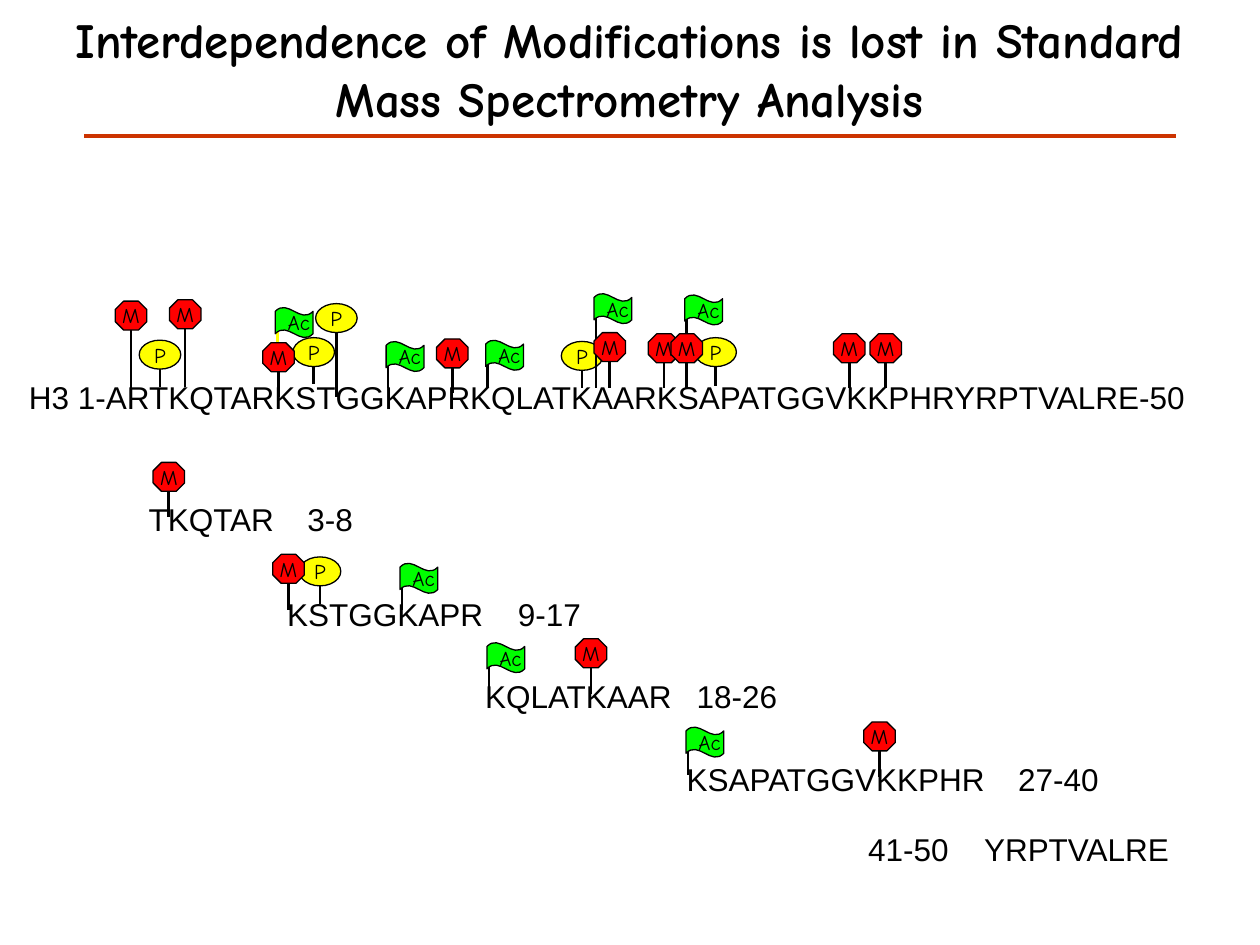
from collections import namedtuple
from dataclasses import dataclass

from lxml import etree
from pptx import Presentation
from pptx.dml.color import RGBColor
from pptx.enum.shapes import MSO_CONNECTOR, MSO_SHAPE
from pptx.enum.text import MSO_ANCHOR, PP_ALIGN
from pptx.oxml.ns import qn
from pptx.util import Inches, Pt

STRAIGHT = MSO_CONNECTOR.STRAIGHT
OCTAGON, ELLIPSE, WAVE = MSO_SHAPE.OCTAGON, MSO_SHAPE.OVAL, MSO_SHAPE.WAVE
LEFT, CENTER = PP_ALIGN.LEFT, PP_ALIGN.CENTER
MIDDLE = MSO_ANCHOR.MIDDLE

COLUMNS, ROWS = 100, 75
CELL = Inches(10) // COLUMNS
TITLE_LAYOUT = 5


@dataclass(frozen=True)
class Theme:
    black: str = "000000"
    red: str = "FF0000"
    yellow: str = "FFFF00"
    green: str = "00FF00"
    rule: str = "CC3300"
    sequence_font: str = "Arial"
    label_font: str = "Comic Neue"
    title_size: float = 28
    sequence_size: float = 18
    mark_size: float = 12
    outline: float = 0.75
    stem: float = 1.5
    rule_width: float = 2.5


THEME = Theme()

# Width, height and stem position of a mark's head are in grid cells.
Head = namedtuple("Head", "shape fill width height stem adjustment align")
HEADS = {
    "P": Head(ELLIPSE, THEME.yellow, 3.3, 2.3, 1.65, None, CENTER),
    "Ac": Head(WAVE, THEME.green, 3, 2.4, 0.15, 0.13, LEFT),
    "M": Head(OCTAGON, THEME.red, 2.5, 2.3, 1.25, 0.29, CENTER),
}

# Each mark: kind, column from the row's left, lift of the head above the
# row's top, depth of the stem's foot below it, and a stem colour if not black.
# Later marks lie in front of earlier ones.
Sequence = namedtuple("Sequence", "left top width text tab marks")
SEQUENCES = [
    Sequence(2.3, 30, 96, "H3 1-ARTKQTARKSTGGKAPRKQLATKAARKSAPATGGVKKPHRYRPTVALRE-50", None, [
        ("P", 10.4, 3, 0.7), ("P", 22.6, 3.2, 0.5), ("P", 24.4, 5.9, 1.5),
        ("P", 43.9, 2.9, 0.8), ("P", 54.5, 3.2, 0.6),
        ("Ac", 19.7, 5.6, -2.8, THEME.yellow), ("Ac", 28.5, 2.9, 0.8),
        ("Ac", 36.4, 3, 0.8), ("Ac", 45, 6.7, 0.8), ("Ac", 52.2, 6.6, 0.8),
        ("M", 8.1, 6.1, 0.8), ("M", 12.4, 6.2, 0.7), ("M", 19.8, 2.8, 1.5),
        ("M", 33.6, 3.1, 1.2), ("M", 46.1, 3.6, 0.8), ("M", 50.4, 3.5, 0.8),
        ("M", 52.2, 3.5, 0.8), ("M", 65.1, 3.5, 0.8), ("M", 68, 3.5, 0.8)]),
    Sequence(11.8, 39.7, 18, "TKQTAR\t3-8", 12.6, [("M", 1.6, 3, 1.3)]),
    Sequence(22.8, 47.2, 25, "KSTGGKAPR\t9-17", 18.3, [
        ("P", 2.6, 3, 0.7), ("Ac", 9.1, 2.5, 1.2), ("M", 0.1, 3.2, 1.2)]),
    Sequence(38.5, 53.7, 25, "KQLATKAAR\t18-26", 16.8, [
        ("Ac", 0.3, 2.7, 1.1), ("M", 8.4, 3, 1.4)]),
    Sequence(54.5, 60.3, 35, "KSAPATGGVKKPHR\t27-40", 26.3, [
        ("Ac", 0.1, 2.6, 1.2), ("M", 15.3, 3, 1.4)]),
    Sequence(68.9, 65.9, 25, "41-50\tYRPTVALRE", 9.2, []),
]


def cells(*lengths):
    return [round(length * CELL) for length in lengths]


def color(value):
    return RGBColor.from_string(value)


def write(frame, text, font, size, align, bold=False):
    frame.text = text
    para = frame.paragraphs[0]
    para.alignment = align
    for span in para.runs:
        span.font.name = font
        span.font.size = Pt(size)
        span.font.bold = bold
        span.font.color.rgb = color(THEME.black)
    return para


def clear_insets(frame):
    frame.margin_left = frame.margin_right = 0
    frame.margin_top = frame.margin_bottom = 0


def add_line(page, start, end, ink, width):
    line = page.shapes.add_connector(STRAIGHT, *cells(*start, *end))
    line.line.color.rgb = color(ink)
    line.line.width = Pt(width)
    etree.SubElement(line._element.spPr, qn("a:effectLst"))


def add_title(page, left, top, width, height):
    title = page.shapes.title
    title.left, title.top, title.width, title.height = cells(left, top, width, height)
    title.text_frame.vertical_anchor = MIDDLE
    title.text_frame.word_wrap = True
    write(title.text_frame,
          "Interdependence of Modifications is lost in Standard Mass Spectrometry Analysis",
          THEME.label_font, THEME.title_size, CENTER, bold=True)


def add_mark(page, kind, stem, top, foot, ink=THEME.black):
    """Draw a modification: a labelled head on a stem that reaches the residue."""
    head = HEADS[kind]
    add_line(page, (stem, top + head.height * 0.8), (stem, foot), ink, THEME.stem)
    shape = page.shapes.add_shape(
        head.shape, *cells(stem - head.stem, top, head.width, head.height))
    if head.adjustment is not None:
        shape.adjustments[0] = head.adjustment
    shape.shadow.inherit = False
    shape.fill.solid()
    shape.fill.fore_color.rgb = color(head.fill)
    shape.line.color.rgb = color(THEME.black)
    shape.line.width = Pt(THEME.outline)
    frame = shape.text_frame
    frame.word_wrap = False
    frame.vertical_anchor = MIDDLE
    if head.align == CENTER:
        clear_insets(frame)
    write(frame, kind, THEME.label_font, THEME.mark_size, head.align)


def add_sequence(page, row):
    box = page.shapes.add_textbox(*cells(row.left, row.top, row.width, 3))
    box.text_frame.word_wrap = True
    clear_insets(box.text_frame)
    para = write(box.text_frame, row.text, THEME.sequence_font, THEME.sequence_size, LEFT)
    if row.tab:
        stops = etree.SubElement(para._p.get_or_add_pPr(), qn("a:tabLst"))
        etree.SubElement(stops, qn("a:tab"), pos=str(cells(row.tab)[0]), algn="l")
    for kind, column, lift, depth, *ink in row.marks:
        add_mark(page, kind, row.left + column, row.top - lift, row.top + depth, *ink)


def main():
    deck = Presentation()
    deck.slide_width, deck.slide_height = cells(COLUMNS, ROWS)
    page = deck.slides.add_slide(deck.slide_layouts[TITLE_LAYOUT])
    add_title(page, 3.3, -0.8, 93.3, 12.5)
    add_line(page, (6.7, 10.8), (93.3, 10.8), THEME.rule, THEME.rule_width)
    for row in SEQUENCES:
        add_sequence(page, row)
    deck.save("out.pptx")


if __name__ == "__main__":
    main()
